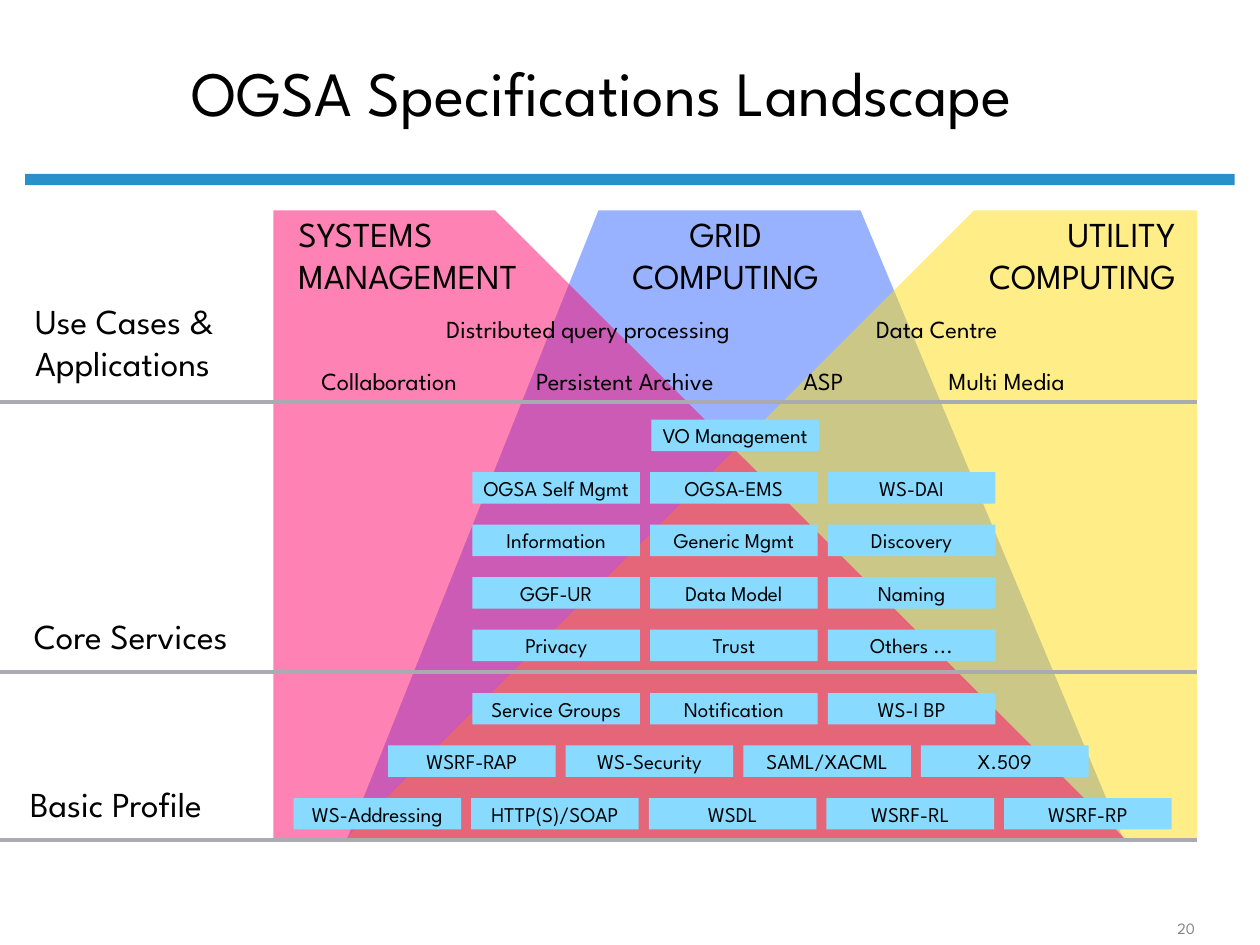
from dataclasses import dataclass

from lxml import etree
from pptx import Presentation
from pptx.dml.color import RGBColor
from pptx.enum import shapes, text
from pptx.oxml.ns import qn
from pptx.util import Inches, Pt

LEFT, CENTER, RIGHT = text.PP_ALIGN.LEFT, text.PP_ALIGN.CENTER, text.PP_ALIGN.RIGHT
TOP, MIDDLE, BOTTOM = text.MSO_ANCHOR.TOP, text.MSO_ANCHOR.MIDDLE, text.MSO_ANCHOR.BOTTOM


@dataclass(frozen=True)
class Theme:
    font: str = "League Spartan"
    ink: str = "000000"
    page_number: str = "848589"
    bar: str = "2990CA"
    divider: str = "AAABB0"
    service: str = "88DBFF"
    grid: str = "3366FF"
    utility: str = "FFDD11"
    systems: str = "FF066D"
    title_size: float = 36
    heading_size: float = 20
    use_case_size: float = 14
    service_size: float = 12
    number_size: float = 9
    divider_width: float = 2.25


@dataclass(frozen=True)
class Label:
    words: str
    left: float
    top: float
    width: float
    height: float
    size: float
    align: text.PP_ALIGN = LEFT
    anchor: text.MSO_ANCHOR = TOP
    wrap: bool = False
    color: str = Theme.ink
    spacing: float = 1.0


@dataclass(frozen=True)
class Area:
    color: str
    points: tuple[tuple[float, float], ...]


@dataclass(frozen=True)
class ServiceRow:
    left: float
    top: float
    names: tuple[str, ...]


THEME = Theme()
AREA_TOP, AREA_BOTTOM = 1.67, 6.65
DIVIDER_RIGHT = 9.5
DIVIDERS = (3.19, 5.33, 6.67)
SERVICE_WIDTH, SERVICE_HEIGHT, SERVICE_GAP = 1.33, 0.25, 0.08
ROW_PITCH = 5 / 12
CORE_TOP, BASIC_TOP = 3.33, 5.5

AREAS = (
    Area(THEME.grid, ((2.75, 6.67), (4.75, AREA_TOP), (6.83, AREA_TOP), (8.92, 6.67))),
    Area(THEME.utility, ((9.5, AREA_TOP), (7.73, AREA_TOP), (2.75, AREA_BOTTOM), (9.5, AREA_BOTTOM))),
    Area(THEME.systems, ((2.17, AREA_TOP), (3.93, AREA_TOP), (8.92, AREA_BOTTOM), (2.17, AREA_BOTTOM))),
)

SERVICE_ROWS = (
    ServiceRow(5.17, CORE_TOP, ("VO Management",)),
    ServiceRow(3.75, CORE_TOP + ROW_PITCH, ("OGSA Self Mgmt", "OGSA-EMS", "WS-DAI")),
    ServiceRow(3.75, CORE_TOP + 2 * ROW_PITCH, ("Information", "Generic Mgmt", "Discovery")),
    ServiceRow(3.75, CORE_TOP + 3 * ROW_PITCH, ("GGF-UR", "Data Model", "Naming")),
    ServiceRow(3.75, CORE_TOP + 4 * ROW_PITCH, ("Privacy", "Trust", "Others ...")),
    ServiceRow(3.75, BASIC_TOP, ("Service Groups", "Notification", "WS-I BP")),
    ServiceRow(3.08, BASIC_TOP + ROW_PITCH, ("WSRF-RAP", "WS-Security", "SAML/XACML", "X.509")),
    ServiceRow(2.33, BASIC_TOP + 2 * ROW_PITCH,
               ("WS-Addressing", "HTTP(S)/SOAP", "WSDL", "WSRF-RL", "WSRF-RP")),
)


def heading(words: str, left: float, top: float, width: float, align: text.PP_ALIGN = LEFT) -> Label:
    height = 0.77 if "\n" in words else 0.44
    return Label(words, left, top, width, height, THEME.heading_size, align)


def use_case(words: str, left: float, top: float, width: float) -> Label:
    return Label(words, left, top, width, 0.34, THEME.use_case_size, CENTER, MIDDLE)


LABELS = (
    Label("OGSA Specifications Landscape", 1.42, 0, 7.5, 1.08, THEME.title_size,
          anchor=BOTTOM, wrap=True, spacing=0.9),
    heading("SYSTEMS\nMANAGEMENT", 2.27, 1.64, 2.15),
    heading("UTILITY\nCOMPUTING", 7.55, 1.64, 1.88, RIGHT),
    heading("GRID\nCOMPUTING", 4.82, 1.64, 1.88, CENTER),
    heading("Use Cases &\nApplications", 0.18, 2.33, 1.8),
    heading("Core Services", 0.17, 4.83, 1.95),
    heading("Basic Profile", 0.14, 6.16, 1.79),
    use_case("Distributed query processing", 3.24, 2.44, 2.86),
    use_case("Data Centre", 6.79, 2.44, 1.29),
    use_case("Collaboration", 2.37, 2.85, 1.44),
    use_case("Persistent Archive", 4.04, 2.85, 1.84),
    use_case("ASP", 6.26, 2.85, 0.55),
    use_case("Multi Media", 7.35, 2.85, 1.28),
    Label("20", 9, 7.25, 0.83, 0.24, THEME.number_size, CENTER, BOTTOM, True, THEME.page_number),
)


def paint(shape, color: str) -> None:
    shape.shadow.inherit = False
    shape.fill.solid()
    shape.fill.fore_color.rgb = RGBColor.from_string(color)
    shape.line.fill.background()


def write(box, label: Label) -> None:
    frame = box.text_frame
    frame.text = label.words
    frame_format = {"word_wrap": label.wrap, "vertical_anchor": label.anchor}
    for name, value in frame_format.items():
        setattr(frame, name, value)
    font_format = {"name": THEME.font, "size": Pt(label.size)}
    for para in frame.paragraphs:
        para.alignment = label.align
        para.line_spacing = label.spacing
        for span in para.runs:
            for name, value in font_format.items():
                setattr(span.font, name, value)
            span.font.color.rgb = RGBColor.from_string(label.color)


def add_label(page, label: Label) -> None:
    box = page.shapes.add_textbox(*map(Inches, (label.left, label.top, label.width, label.height)))
    write(box, label)
    if not label.wrap:
        box.text_frame.auto_size = text.MSO_AUTO_SIZE.SHAPE_TO_FIT_TEXT


def add_rectangle(page, left: float, top: float, width: float, height: float, color: str):
    shape = page.shapes.add_shape(shapes.MSO_SHAPE.RECTANGLE, *map(Inches, (left, top, width, height)))
    paint(shape, color)
    return shape


def add_area(page, area: Area) -> None:
    """Draw a half-transparent computing area."""
    corners = [(Inches(x), Inches(y)) for x, y in area.points]
    builder = page.shapes.build_freeform(*corners[0], scale=1.0)
    builder.add_line_segments(corners[1:], close=True)
    shape = builder.convert_to_shape()
    paint(shape, area.color)
    tint = shape._element.spPr.find(qn("a:solidFill"))[0]
    etree.SubElement(tint, qn("a:alpha"), val="50000")


def add_divider(page, top: float) -> None:
    line = page.shapes.add_connector(
        shapes.MSO_CONNECTOR.STRAIGHT, *map(Inches, (0, top, DIVIDER_RIGHT, top)))
    line.line.color.rgb = RGBColor.from_string(THEME.divider)
    line.line.width = Pt(THEME.divider_width)
    etree.SubElement(line._element.spPr, qn("a:effectLst"))


def add_service_row(page, row: ServiceRow) -> None:
    for column, name in enumerate(row.names):
        left = row.left + column * (SERVICE_WIDTH + SERVICE_GAP)
        place = (left, row.top, SERVICE_WIDTH, SERVICE_HEIGHT)
        box = add_rectangle(page, *place, THEME.service)
        write(box, Label(name, *place, THEME.service_size, CENTER, MIDDLE))


def main() -> None:
    deck = Presentation()
    deck.slide_width, deck.slide_height = Inches(10), Inches(7.5)
    page = deck.slides.add_slide(deck.slide_layouts[6])
    add_rectangle(page, 0.2, 1.38, 9.6, 0.09, THEME.bar)
    for area in AREAS:
        add_area(page, area)
    for top in DIVIDERS:
        add_divider(page, top)
    for row in SERVICE_ROWS:
        add_service_row(page, row)
    for label in LABELS:
        add_label(page, label)
    deck.save("out.pptx")


if __name__ == "__main__":
    main()
